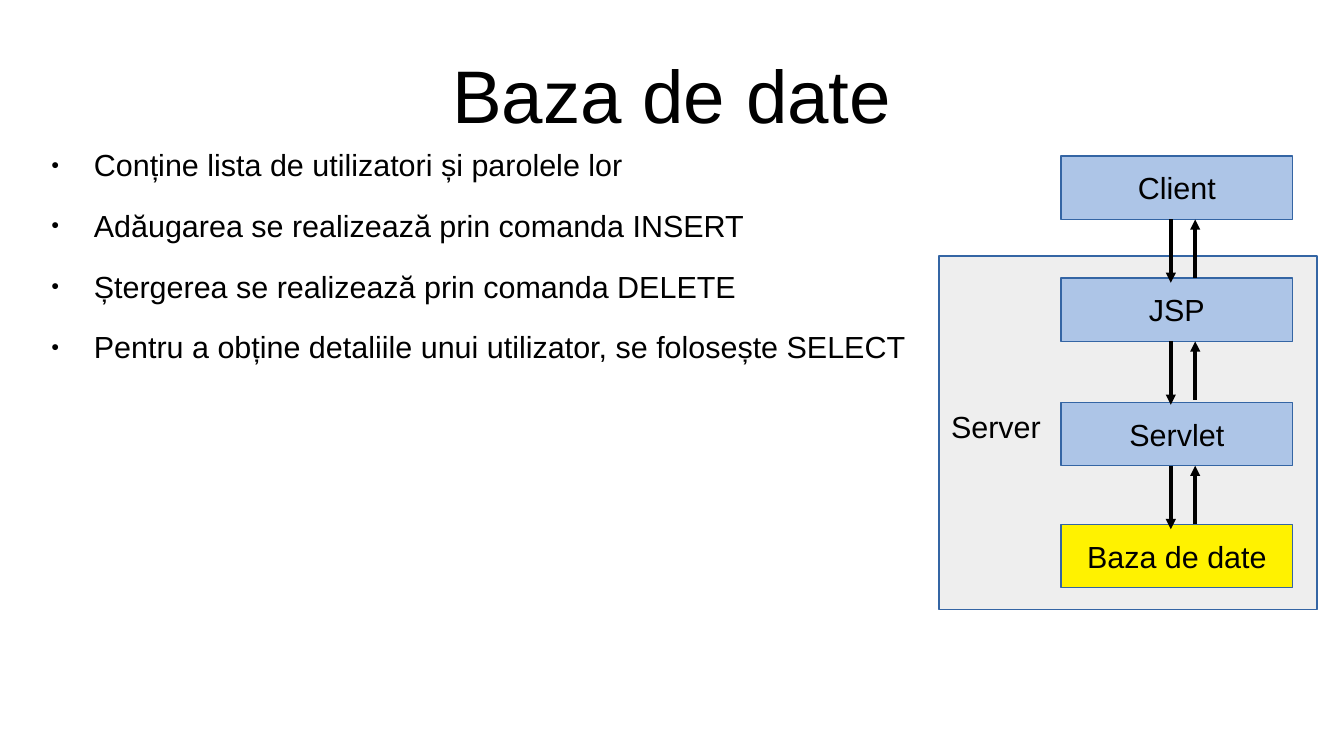
import pptx
import pptx.dml.color
import pptx.enum.shapes
import pptx.enum.text
import pptx.oxml
import pptx.oxml.ns
import pptx.util
from pptx.util import Inches

ALIGN = pptx.enum.text.PP_ALIGN
ANCHOR = pptx.enum.text.MSO_ANCHOR
HAIRLINE = pptx.util.Pt(0)


def rgb(value):
    """Turn a hex string into a colour."""
    return pptx.dml.color.RGBColor.from_string(value)


def add_xml(parent, tag, **attrs):
    """Append a DrawingML element with the given attributes."""
    child = pptx.oxml.parse_xml(f"<a:{tag} {pptx.oxml.ns.nsdecls('a')}/>")
    for name, value in attrs.items():
        child.set(name, str(value))
    parent.append(child)
    return child


def write(tf, text, size=18, font="Arial", color="000000", align=ALIGN.LEFT,
          anchor=ANCHOR.TOP, insets=(0.1, 0.05), wrap=True, before=0):
    """Fill a text frame, one paragraph for each line of text."""
    tf.word_wrap = wrap
    tf.auto_size = pptx.enum.text.MSO_AUTO_SIZE.NONE
    tf.vertical_anchor = anchor
    tf.margin_left = tf.margin_right = Inches(insets[0])
    tf.margin_top = tf.margin_bottom = Inches(insets[1])
    for i, line in enumerate(text.split("\n")):
        p = tf.add_paragraph() if i else tf.paragraphs[0]
        p.alignment = align
        p.line_spacing = 1.0
        p.space_before = pptx.util.Pt(before)
        r = p.add_run()
        r.text = line
        r.font.size = pptx.util.Pt(size)
        r.font.name = font
        r.font.color.rgb = rgb(color)


class Deck:
    """Holds the style and the current slide."""

    outline = "3465A4"
    ink = "000000"

    def __init__(self, prs):
        """Add a title-only slide."""
        self.s = prs.slides.add_slide(prs.slide_layouts[5])

    def title(self, text, x, y, w, h):
        """Place and format the title."""
        sp = self.s.shapes.title
        sp.left, sp.top, sp.width, sp.height = map(Inches, (x, y, w, h))
        write(sp.text_frame, text, size=44, align=ALIGN.CENTER,
              anchor=ANCHOR.MIDDLE, insets=(0, 0))

    def text(self, text, x, y, w, h, **fmt):
        """Add a text box."""
        sp = self.s.shapes.add_textbox(*map(Inches, (x, y, w, h)))
        write(sp.text_frame, text, **fmt)
        return sp

    def bullets(self, lines, x, y, w, h):
        """Add a bulleted list."""
        sp = self.text("\n".join(lines), x, y, w, h, insets=(0, 0), before=14.2)
        for p in sp.text_frame.paragraphs:
            pPr = p._p.get_or_add_pPr()
            pPr.set("marL", str(Inches(0.47)))
            pPr.set("indent", str(Inches(-0.35)))
            add_xml(add_xml(pPr, "buClr"), "srgbClr", val=self.ink)
            add_xml(pPr, "buSzPct", val=45000)
            add_xml(pPr, "buFont", typeface="Arial")
            add_xml(pPr, "buChar", char="●")

    def box(self, x, y, w, h, fill, text=None):
        """Add an outlined rectangle with an optional centred label."""
        sp = self.s.shapes.add_shape(pptx.enum.shapes.MSO_SHAPE.RECTANGLE,
                                     *map(Inches, (x, y, w, h)))
        sp.shadow.inherit = False
        sp.fill.solid()
        sp.fill.fore_color.rgb = rgb(fill)
        sp.line.color.rgb = rgb(self.outline)
        sp.line.width = HAIRLINE
        if text:
            write(sp.text_frame, text, align=ALIGN.CENTER,
                  anchor=ANCHOR.MIDDLE, wrap=False)

    def arrow(self, x, y1, y2):
        """Add a vertical arrow that points at y2."""
        sp = self.s.shapes.add_connector(
            pptx.enum.shapes.MSO_CONNECTOR.STRAIGHT,
            *map(Inches, (x, y1, x, y2)))
        sp.line.color.rgb = rgb(self.ink)
        sp.line.width = HAIRLINE
        add_xml(sp.line._get_or_add_ln(), "tailEnd", type="triangle")
        add_xml(sp._element.spPr, "effectLst")


prs = pptx.Presentation()
prs.slide_width, prs.slide_height = Inches(11.02), Inches(6.2)
deck = Deck(prs)

deck.title("Baza de date", 0.55, 0.25, 9.92, 1.03)
deck.bullets(["Conține lista de utilizatori și parolele lor",
              "Adăugarea se realizează prin comanda INSERT",
              "Ștergerea se realizează prin comanda DELETE",
              "Pentru a obține detaliile unui utilizator, se folosește SELECT"],
             0.3, 1.2, 10.17, 4.6)

deck.box(7.7, 2.1, 3.1, 2.9, "EEEEEE")
deck.text("Server", 7.7, 3.3, 1, 0.66)

BLUE, YELLOW, TIER_H = "ADC5E7", "FFF200", 0.52
tiers = [("Client", 1.28, BLUE), ("JSP", 2.28, BLUE),
         ("Servlet", 3.3, BLUE), ("Baza de date", 4.3, YELLOW)]
for name, top, fill in tiers:
    deck.box(8.7, top, 1.9, TIER_H, fill, name)
for name, top, fill in tiers[:-1]:
    bottom = top + TIER_H
    deck.arrow(9.6, bottom, bottom + 0.52)
    deck.arrow(9.8, bottom + 0.48, bottom)

prs.save("out.pptx")
